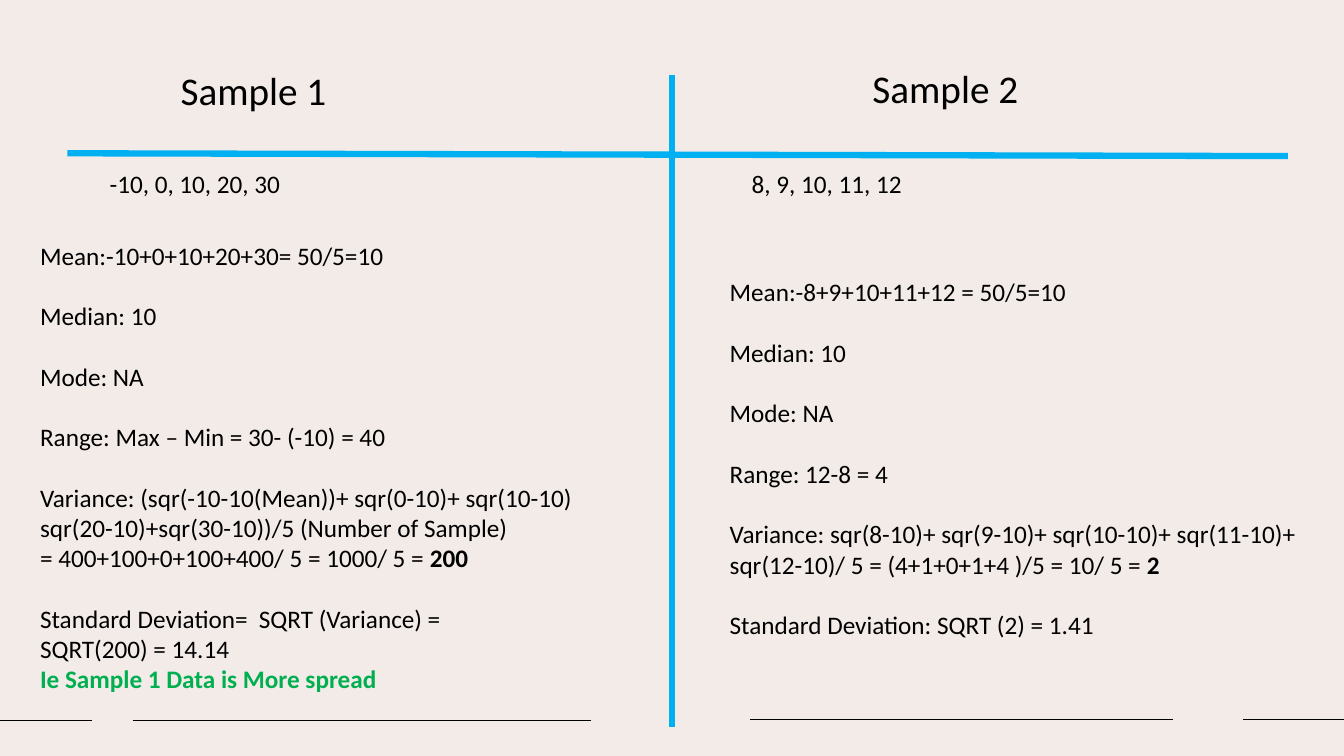
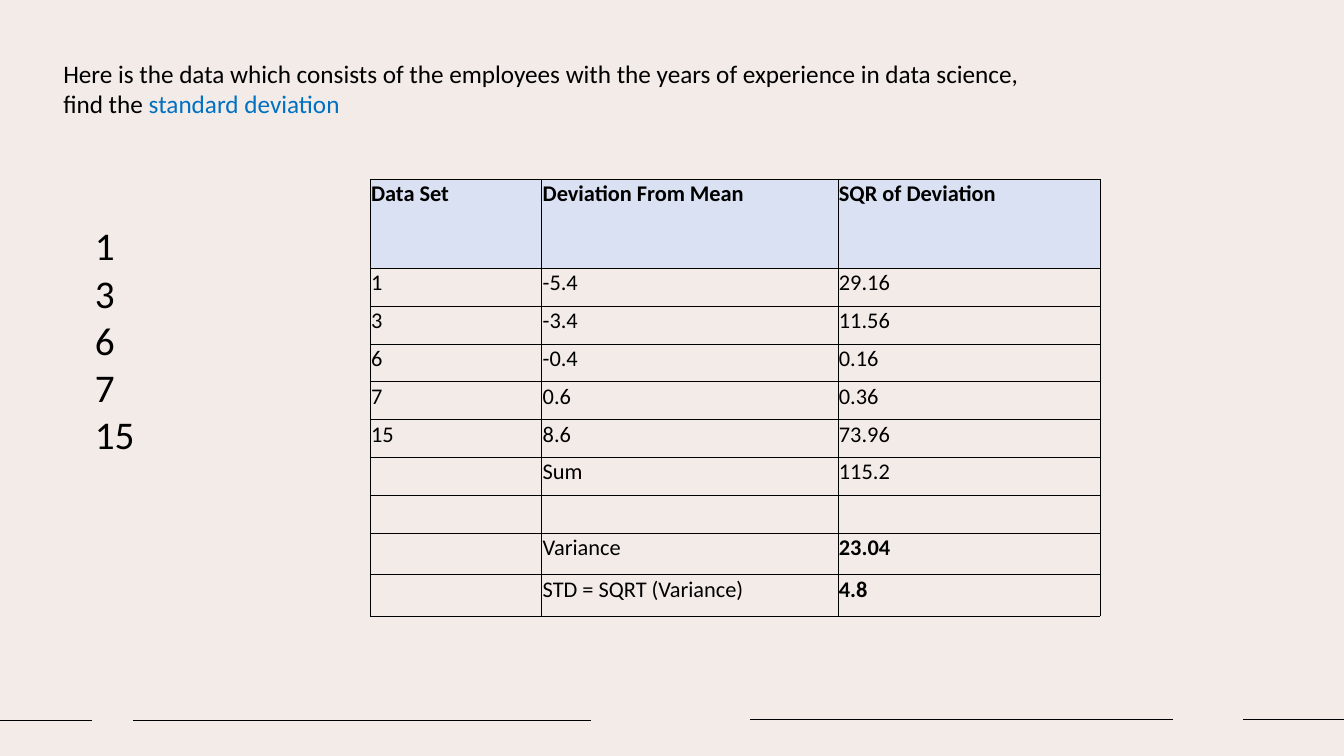
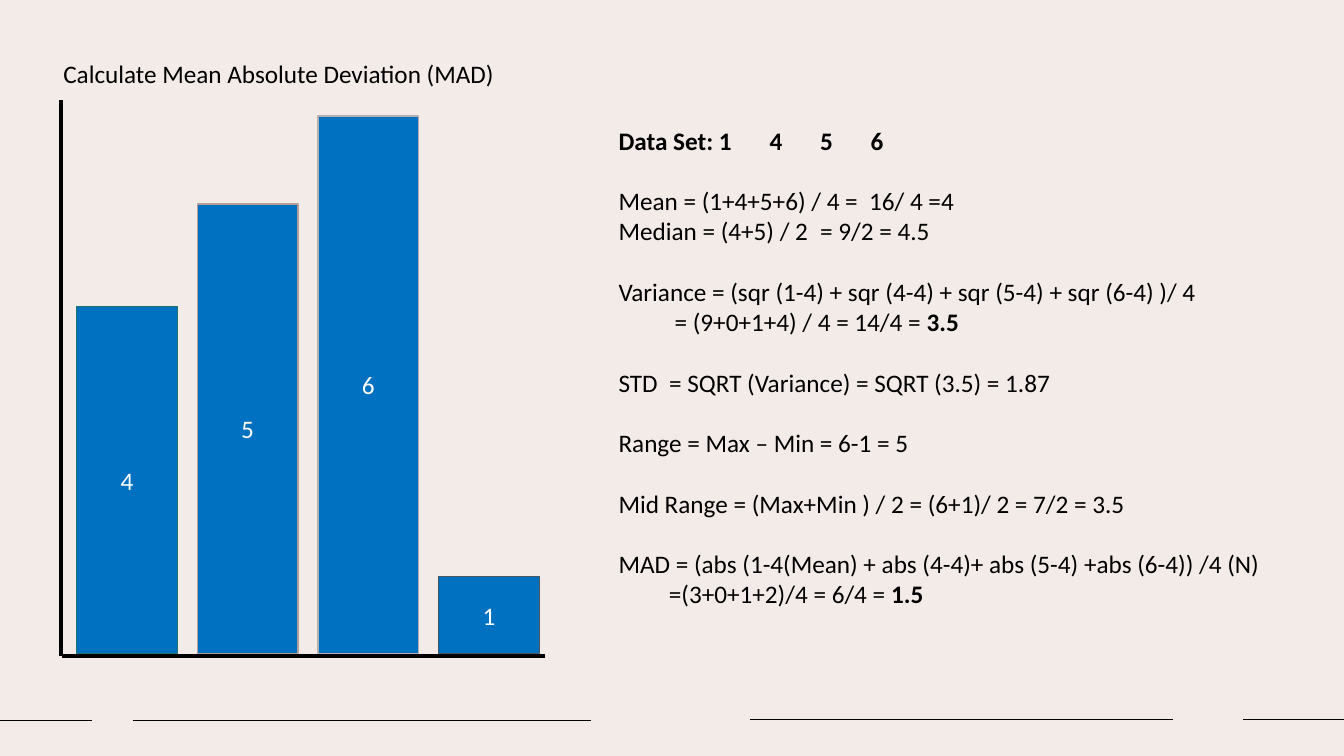
from dataclasses import dataclass

from lxml.etree import SubElement
from pptx import Presentation
from pptx.dml.color import RGBColor
from pptx.enum.shapes import MSO_CONNECTOR as Connector, MSO_SHAPE as Preset
from pptx.enum.text import MSO_ANCHOR as Anchor, MSO_AUTO_SIZE as AutoSize, PP_ALIGN as Align
from pptx.oxml.ns import qn
from pptx.util import Pt


@dataclass(frozen=True)
class Theme:
    font: str = "Calibri"
    background: RGBColor = RGBColor.from_string("F3EBE8")
    ink: RGBColor = RGBColor.from_string("000000")
    paper: RGBColor = RGBColor.from_string("FFFFFF")
    divider: RGBColor = RGBColor.from_string("00B0F0")
    accent: RGBColor = RGBColor.from_string("0070C0")
    result: RGBColor = RGBColor.from_string("00B050")
    header: RGBColor = RGBColor.from_string("D9E1F2")
    heading_size: int = 28
    body_size: int = 18
    table_size: int = 16
    block_gap: float = 21.6


theme = Theme()
styles = {
    "plain": (False, theme.ink),
    "strong": (True, theme.ink),
    "conclusion": (True, theme.result),
    "term": (False, theme.accent),
    "light": (False, theme.paper),
}


def write(shape, box, blocks, size=theme.body_size, align=Align.LEFT, anchor=Anchor.TOP):
    shape.left, shape.top, shape.width, shape.height = (Pt(length) for length in box)
    frame = shape.text_frame
    frame.word_wrap = True
    frame.auto_size = AutoSize.NONE
    frame.vertical_anchor = anchor
    frame.margin_left = frame.margin_right = Pt(7.2)
    frame.margin_top = frame.margin_bottom = Pt(3.6)
    lines = [(line, block_index > 0 and line_index == 0)
             for block_index, block in enumerate(blocks)
             for line_index, line in enumerate(block)]
    for index, (line, opens_block) in enumerate(lines):
        paragraph = frame.add_paragraph() if index else frame.paragraphs[0]
        paragraph.alignment = align
        paragraph.space_before = Pt(theme.block_gap if opens_block else 0)
        properties = paragraph._p.get_or_add_pPr()
        properties.set("marL", "0")
        properties.set("indent", "0")
        SubElement(properties, qn("a:buNone"))
        tabs = SubElement(properties, qn("a:tabLst"))
        for stop in range(72, 289, 72):
            SubElement(tabs, qn("a:tab"), pos=str(Pt(stop)), algn="l")
        for part in [(line, "plain")] if isinstance(line, str) else line:
            text, style = part
            run = paragraph.add_run()
            run.text = text
            run.font.name = theme.font
            run.font.size = Pt(size)
            run.font.bold, run.font.color.rgb = styles[style]


def draw_line(slide, ends, colour, weight):
    connector = slide.shapes.add_connector(Connector.STRAIGHT, *(Pt(length) for length in ends))
    connector.line.color.rgb = colour
    connector.line.width = Pt(weight)
    SubElement(connector.element.spPr, qn("a:effectLst"))
    return connector


presentation = Presentation()
presentation.slide_width, presentation.slide_height = Pt(960), Pt(540)
master = presentation.slide_master
master.background.fill.solid()
master.background.fill.fore_color.rgb = theme.background
content_layout = presentation.slide_layouts.get_by_name("Title and Content")
comparison_layout = presentation.slide_layouts.get_by_name("Comparison")

slide = presentation.slides.add_slide(comparison_layout)
for left, right, height in [(0, 66, 514.6), (95, 422.4, 514.6), (535.8, 838, 513.9), (888, 960, 513.9)]:
    footer_line = draw_line(slide, (left, height, right, height), theme.ink, 1)
    master.shapes.element.append(footer_line.element)

slide.shapes.title.element.getparent().remove(slide.shapes.title.element)
draw_line(slide, (480, 53.5, 480, 519), theme.divider, 4.5)
draw_line(slide, (48.2, 109.5, 920, 111.5), theme.divider, 4.5)

samples = [
    ("Sample 1", (121.8, 43.4, 214.6, 41), "-10, 0, 10, 20, 30", 71.2, (21.4, 168, 430.6, 334), [
        ["Mean:-10+0+10+20+30= 50/5=10"],
        ["Median: 10"],
        ["Mode: NA"],
        ["Range: Max – Min = 30- (-10) = 40"],
        ["Variance: (sqr(-10-10(Mean))+ sqr(0-10)+ sqr(10-10)",
         "sqr(20-10)+sqr(30-10))/5 (Number of Sample)",
         [("= 400+100+0+100+400/ 5 = 1000/ 5 = ", "plain"), ("200", "strong")]],
        ["Standard Deviation=  SQRT (Variance) =",
         "SQRT(200) = 14.14",
         [("Ie Sample 1 Data is More spread", "conclusion")]],
    ]),
    ("Sample 2", (616, 42.6, 140.4, 41), "8, 9, 10, 11, 12", 529.9, (514, 194, 430.6, 270), [
        ["Mean:-8+9+10+11+12 = 50/5=10"],
        ["Median: 10"],
        ["Mode: NA"],
        ["Range: 12-8 = 4"],
        ["Variance: sqr(8-10)+ sqr(9-10)+ sqr(10-10)+ sqr(11-10)+",
         [("sqr(12-10)/ 5 = (4+1+0+1+4 )/5 = 10/ 5 =", "plain"), (" 2", "strong")]],
        ["Standard Deviation: SQRT (2) = 1.41"],
    ]),
]
for index, (heading, heading_box, values, values_left, working_box, working) in enumerate(samples):
    heading_shape, working_shape = (slide.placeholders[2 * index + offset] for offset in (1, 2))
    write(heading_shape, heading_box, [[heading]], theme.heading_size)
    values_box = (values_left, 116.6, 150, 29)
    values_shape = slide.shapes.add_textbox(*(Pt(length) for length in values_box))
    write(values_shape, values_box, [[values]])
    write(working_shape, working_box, working)

slide = presentation.slides.add_slide(content_layout)
write(slide.shapes.title, (38, 38.2, 730, 51), [[
    "Here is the data which consists of the employees with the years of experience in data science,",
    [("find the ", "plain"), ("standard deviation", "term")],
]])
write(slide.placeholders[1], (60.6, 154.8, 50, 211), [["1", "3", "6", "7", "15"]], theme.heading_size)

table_rows = [
    ("Data Set", "Deviation From Mean", "SQR of Deviation"),
    ("1", "-5.4", "29.16"),
    ("3", "-3.4", "11.56"),
    ("6", "-0.4", "0.16"),
    ("7", "0.6", "0.36"),
    ("15", "8.6", "73.96"),
    ("", "Sum", "115.2"),
    ("", "", ""),
    ("", "Variance", "23.04"),
    ("", "STD = SQRT (Variance)", "4.8"),
]
column_widths = [122.6, 211.6, 187.2]
row_heights = [63.4] + [27.1] * 7 + [29.5] * 2
bold_cells = {(0, 0), (0, 1), (0, 2), (8, 2), (9, 2)}
table = slide.shapes.add_table(len(row_heights), len(column_widths), Pt(264.4), Pt(128),
                               Pt(sum(column_widths)), Pt(sum(row_heights))).table
table.first_row = table.horz_banding = False
for column, width in zip(table.columns, column_widths):
    column.width = Pt(width)
for row_index, (row, height, texts) in enumerate(zip(table.rows, row_heights, table_rows)):
    row.height = Pt(height)
    for column_index, (cell, text) in enumerate(zip(row.cells, texts)):
        cell.margin_left = cell.margin_right = cell.margin_top = Pt(0.7)
        cell.margin_bottom = Pt(0)
        cell.text_frame.text = text
        paragraph = cell.text_frame.paragraphs[0]
        paragraph.font.size = Pt(theme.table_size)
        for run in paragraph.runs:
            run.font.name = theme.font
            run.font.size = Pt(theme.table_size)
            run.font.bold = (row_index, column_index) in bold_cells
            run.font.color.rgb = theme.ink
        cell_properties = cell._tc.get_or_add_tcPr()
        for side in ("lnL", "lnR", "lnT", "lnB"):
            border = SubElement(cell_properties, qn(f"a:{side}"), w=str(Pt(0.5)))
            border_fill = SubElement(border, qn("a:solidFill"))
            SubElement(border_fill, qn("a:srgbClr"), val=str(theme.ink))
        if row_index == 0:
            cell.fill.solid()
            cell.fill.fore_color.rgb = theme.header
        else:
            cell.fill.background()

slide = presentation.slides.add_slide(content_layout)
write(slide.shapes.title, (38, 38.2, 340, 29), [["Calculate Mean Absolute Deviation (MAD)"]])
draw_line(slide, (43.5, 71.5, 43.5, 468.6), theme.ink, 3)
draw_line(slide, (389.5, 468.6, 44, 468.6), theme.ink, 3)

bars = [("4", 248, "1F746A"), ("5", 321.2, "B49E98"), ("6", 383.8, "B4AEAC"), ("1", 55, "47545C")]
bar_base, bar_left, bar_pitch, bar_width = 466.8, 54.7, 86.2, 72
for index, (value, height, outline) in enumerate(bars):
    bar_box = (bar_left + index * bar_pitch, bar_base - height, bar_width, height)
    bar = slide.shapes.add_shape(Preset.RECTANGLE, *(Pt(length) for length in bar_box))
    bar.shadow.inherit = False
    bar.fill.solid()
    bar.fill.fore_color.rgb = theme.accent
    bar.line.color.rgb = RGBColor.from_string(outline)
    bar.line.width = Pt(1)
    write(bar, bar_box, [[[(value, "light")]]], align=Align.CENTER, anchor=Anchor.MIDDLE)

write(slide.placeholders[1], (434.6, 85.7, 509, 356.4), [
    [[("Data Set: 1\t4\t5\t6", "strong")]],
    ["Mean = (1+4+5+6) / 4 =  16/ 4 =4",
     "Median = (4+5) / 2\t= 9/2 = 4.5"],
    ["Variance = (sqr (1-4) + sqr (4-4) + sqr (5-4) + sqr (6-4) )/ 4",
     [("\t = (9+0+1+4) / 4 = 14/4 = ", "plain"), ("3.5", "strong")]],
    ["STD  = SQRT (Variance) = SQRT (3.5) = 1.87"],
    ["Range = Max – Min = 6-1 = 5"],
    ["Mid Range = (Max+Min ) / 2 = (6+1)/ 2 = 7/2 = 3.5"],
    ["MAD = (abs (1-4(Mean) + abs (4-4)+ abs (5-4) +abs (6-4)) /4 (N)",
     [("\t=(3+0+1+2)/4 = 6/4 = ", "plain"), ("1.5", "strong")]],
])

presentation.save("out.pptx")
